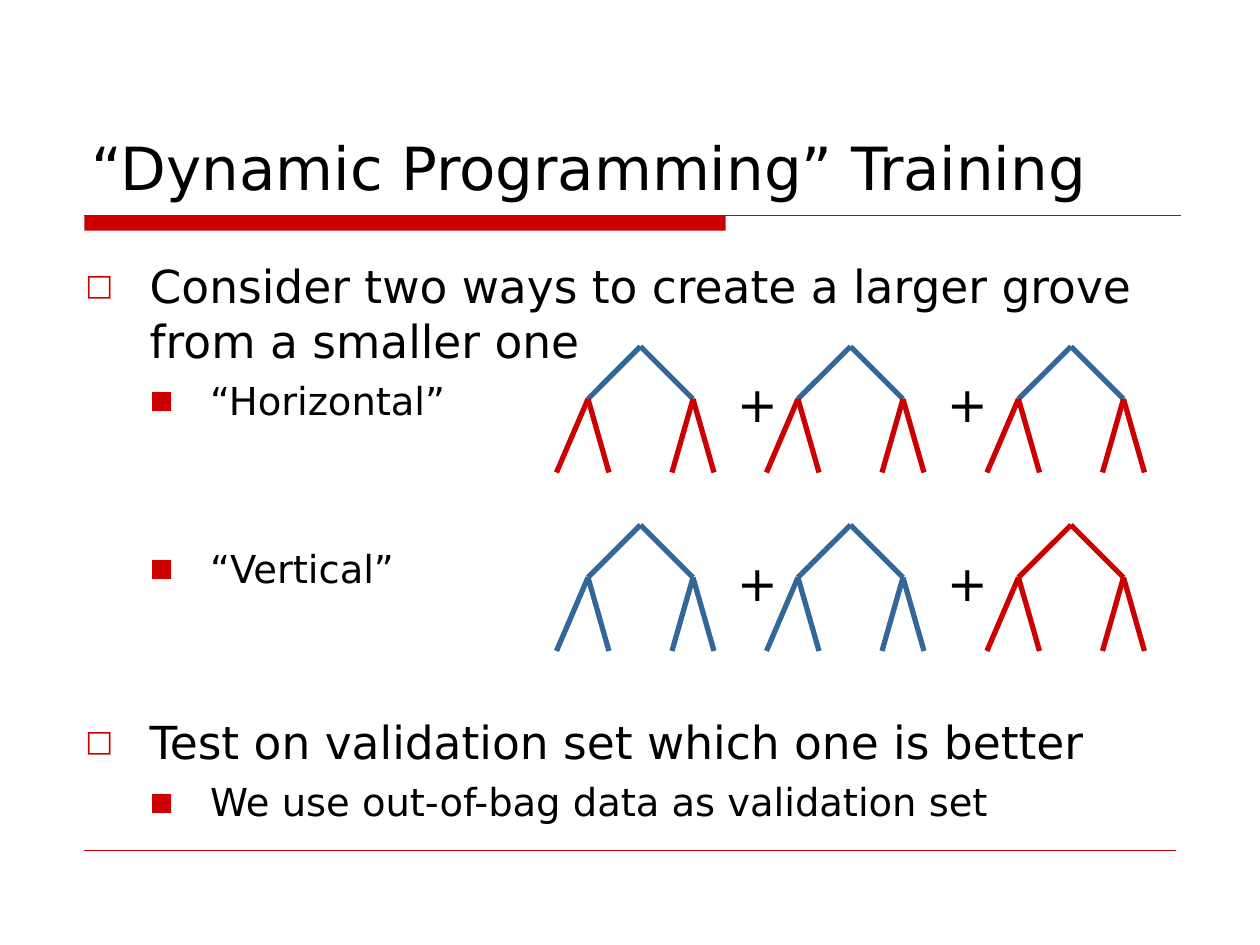
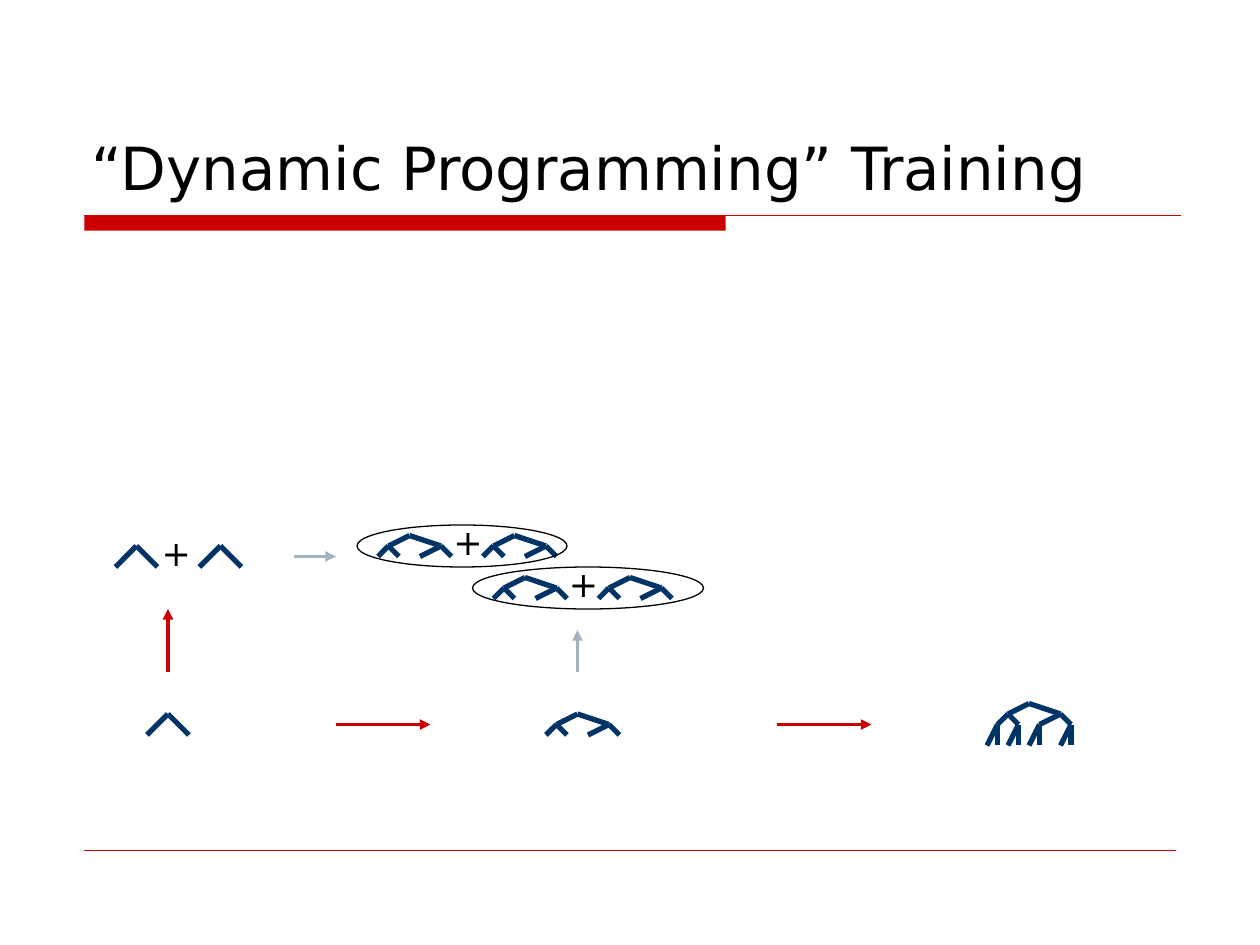
from dataclasses import dataclass

from lxml.etree import SubElement
from pptx import Presentation
from pptx.dml.color import RGBColor as RGB
from pptx.enum.shapes import MSO_CONNECTOR as Connector, MSO_SHAPE as Shape
from pptx.enum.text import MSO_ANCHOR as Anchor
from pptx.oxml.ns import qn
from pptx.util import Inches, Pt


@dataclass(frozen=True)
class Theme:
    font: str = "DejaVu Sans"
    red: RGB = RGB(0xCC, 0x00, 0x00)
    blue: RGB = RGB(0x33, 0x66, 0x99)
    navy: RGB = RGB(0x00, 0x33, 0x66)
    grey: RGB = RGB(0xA3, 0xB2, 0xC1)
    black: RGB = RGB(0x00, 0x00, 0x00)
    title_size: int = 34
    body_sizes: tuple = (26, 22)
    large_plus: int = 28
    small_plus: int = 20
    branch_width: float = 3
    arrow_width: float = 2


THEME = Theme()
TITLE = "“Dynamic Programming” Training"

# Per outline level: bullet, left margin, hanging indent
OUTLINE = (("□", 0.51, -0.51), ("■", 0.99, -0.48))

# Text, outline level, space before in points
BODY = (
    ("Consider two ways to create a larger grove from a smaller one", 0, 6.5),
    ("“Horizontal”", 1, 5.5),
    ("“Vertical”", 1, 69.5),
    ("Test on validation set which one is better", 0, 70.5),
    ("We use out-of-bag data as validation set", 1, 5.5),
)

# Trees as levels of nodes, offset from the root in grid units.
# Node i of a level hangs from node i // 2 of the level above.
LARGE_TREE = (
    ((-5, 5), (5, 5)),
    ((-8, 12), (-3, 12), (3, 12), (7, 12)),
)
STUMP = (((-2, 2), (2, 2)),)
SMALL_TREE = (
    ((-2, 1), (3, 1)),
    ((-3, 2), (-1, 2), (1, 2), (4, 2)),
)
DEEP_TREE = SMALL_TREE + (
    tuple((x + step, y + 2) for x, y in SMALL_TREE[1] for step in (-1, 0)),
)


def grid(units):
    """Drawings sit on a grid of twelve units to the inch."""
    return Inches(units / 12)


def add_line(page, start, end, color, width, arrow=False):
    line = page.shapes.add_connector(Connector.STRAIGHT, *start, *end)
    line.line.color.rgb = color
    line.line.width = Pt(width)
    if arrow:
        SubElement(line.line._get_or_add_ln(), qn("a:tailEnd"), type="triangle")
    SubElement(line._element.spPr, qn("a:effectLst"))


def add_text_frame(page, left, top, width, height, anchor=Anchor.TOP):
    frame = page.shapes.add_textbox(left, top, width, height).text_frame
    frame.word_wrap = True
    frame.vertical_anchor = anchor
    return frame


def add_span(para, text, size):
    span = para.add_run()
    span.text = text
    span.font.name = THEME.font
    span.font.size = Pt(size)
    span.font.color.rgb = THEME.black


def add_bullet(para, level):
    char, margin, indent = OUTLINE[level]
    props = para._p.get_or_add_pPr()
    props.set("marL", str(Inches(margin)))
    props.set("indent", str(Inches(indent)))
    color = SubElement(props, qn("a:buClr"))
    SubElement(color, qn("a:srgbClr"), val=str(THEME.red))
    SubElement(props, qn("a:buSzPct"), val="65000")
    SubElement(props, qn("a:buFont"), typeface=THEME.font)
    SubElement(props, qn("a:buChar"), char=char)


def add_page(deck):
    """Blank page with the shared title, band and footer rule."""
    page = deck.slides.add_slide(deck.slide_layouts[6])
    left, band_top, rule_top = Inches(0.67), Inches(1.71), Inches(6.75)
    band = page.shapes.add_shape(
        Shape.RECTANGLE, left, band_top, Inches(5.09), Inches(0.12))
    band.shadow.inherit = False
    band.fill.solid()
    band.fill.fore_color.rgb = THEME.red
    band.line.fill.background()
    add_line(page, (left, band_top), (Inches(9.37), band_top), THEME.red, 0.75)
    add_line(page, (left, rule_top), (Inches(9.33), rule_top), THEME.red, 0.25)
    frame = add_text_frame(page, Inches(0.63), Inches(0.33), Inches(8.75),
                           Inches(1.33), Anchor.BOTTOM)
    add_span(frame.paragraphs[0], TITLE, THEME.title_size)
    return page


def add_outline(page, left, top, width, height):
    frame = add_text_frame(page, left, top, width, height)
    for index, (text, level, gap) in enumerate(BODY):
        para = frame.add_paragraph() if index else frame.paragraphs[0]
        para.level = level
        para.space_before = Pt(gap)
        add_bullet(para, level)
        add_span(para, text, THEME.body_sizes[level])


def add_tree(page, x, y, levels, colors):
    """Draw a tree from its root at (x, y), one colour per level."""
    parents = ((0, 0),)
    for nodes, color in zip(levels, colors):
        for index, (dx, dy) in enumerate(nodes):
            px, py = parents[index // 2]
            add_line(page, (grid(x + px), grid(y + py)),
                     (grid(x + dx), grid(y + dy)), color, THEME.branch_width)
        parents = nodes


def add_navy_tree(page, x, y, levels):
    add_tree(page, x, y, levels, [THEME.navy] * len(levels))


def add_plus(page, x, y, width, height, size):
    frame = add_text_frame(page, grid(x), grid(y), grid(width), Inches(height))
    add_span(frame.paragraphs[0], "+", size)


def add_grove(page, x, y, tree_colors):
    """Row of three large trees, with its first root at (x, y)."""
    for offset, colors in zip((0, 20, 41), tree_colors):
        add_tree(page, x + offset, y, LARGE_TREE, colors)
    for offset in (8, 28):
        add_plus(page, x + offset, y + 2, 7, 0.57, THEME.large_plus)


def add_small_pair(page, x, y, ellipse_width):
    """Two small trees in an ellipse whose box starts at (x, y)."""
    for offset in (5, 15):
        add_navy_tree(page, x + offset, y + 1, SMALL_TREE)
    add_plus(page, x + 8, y - 1, 5, 0.44, THEME.small_plus)
    ellipse = page.shapes.add_shape(
        Shape.OVAL, grid(x), grid(y), grid(ellipse_width), grid(4))
    ellipse.shadow.inherit = False
    ellipse.fill.background()
    ellipse.line.color.rgb = THEME.black
    ellipse.line.width = Pt(0.75)


def add_stump_pair(page, x, y):
    """Two stumps, with the first root at (x, y)."""
    for offset in (0, 8):
        add_navy_tree(page, x + offset, y, STUMP)
    add_plus(page, x + 1.2, y - 2, 4.2, 0.44, THEME.small_plus)


def add_arrow(page, x, y, dx, dy, color):
    add_line(page, (grid(x), grid(y)), (grid(x + dx), grid(y + dy)),
             color, THEME.arrow_width, arrow=True)


def build_ways_page(deck):
    page = add_page(deck)
    add_outline(page, Inches(0.58), Inches(2), Inches(8.75), Inches(4.67))
    old, new = THEME.blue, THEME.red
    add_grove(page, 61, 33, [(old, new)] * 3)
    add_grove(page, 61, 50, [(old, old), (old, old), (new, new)])


def build_growth_page(deck):
    page = add_page(deck)
    # Bottom row: deeper trees
    add_navy_tree(page, 16, 68, STUMP)
    add_navy_tree(page, 55, 68, SMALL_TREE)
    add_navy_tree(page, 98, 67, DEEP_TREE)
    # Upper row: more trees
    add_stump_pair(page, 13, 52)
    add_small_pair(page, 45, 54, 22)
    add_small_pair(page, 34, 50, 20)
    # Chosen steps in red, rejected ones in grey
    add_arrow(page, 32, 69, 9, 0, THEME.red)
    add_arrow(page, 74, 69, 9, 0, THEME.red)
    add_arrow(page, 16, 64, 0, -6, THEME.red)
    add_arrow(page, 28, 53, 4, 0, THEME.grey)
    add_arrow(page, 55, 64, 0, -4, THEME.grey)


def main():
    deck = Presentation()
    deck.slide_width, deck.slide_height = Inches(10), Inches(7.5)
    build_ways_page(deck)
    build_growth_page(deck)
    deck.save("out.pptx")


if __name__ == "__main__":
    main()
